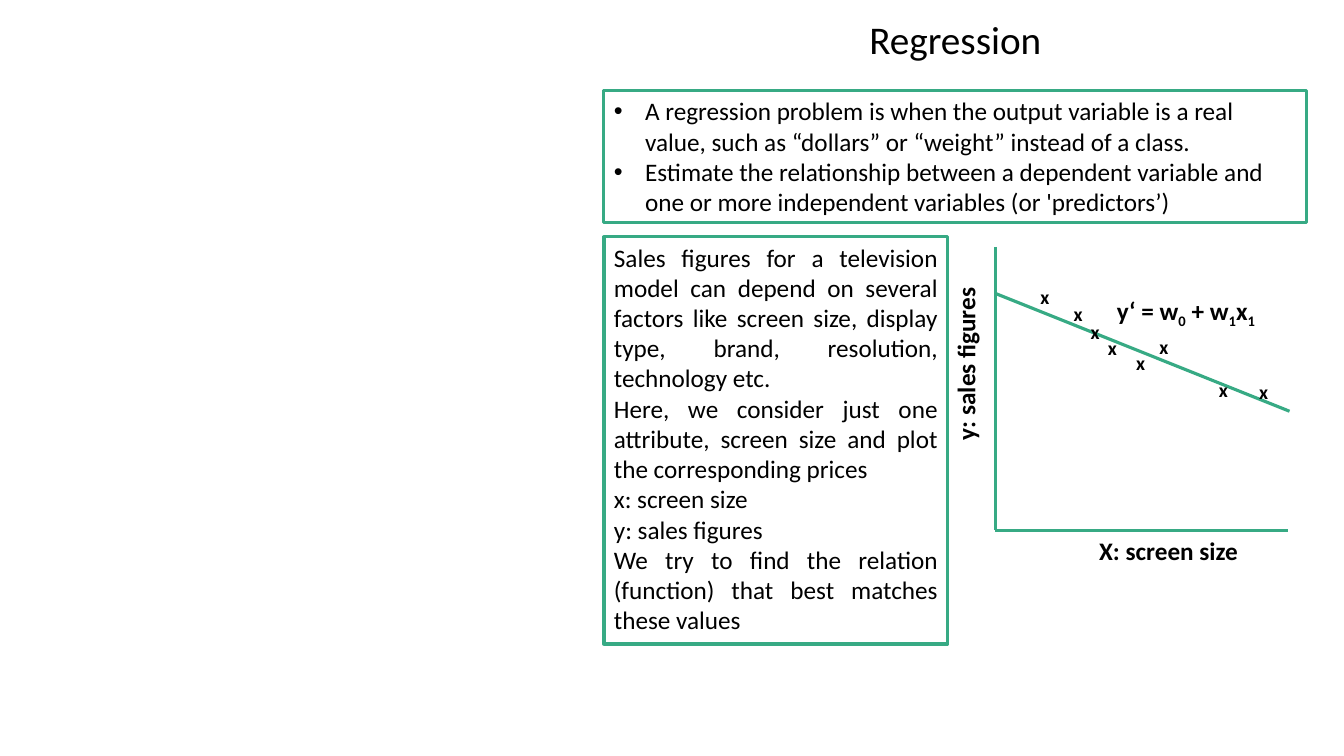
from dataclasses import dataclass

from lxml.etree import SubElement
from pptx import Presentation
from pptx.dml.color import RGBColor
from pptx.enum.shapes import MSO_CONNECTOR, MSO_SHAPE
from pptx.enum.text import MSO_ANCHOR, MSO_AUTO_SIZE, PP_ALIGN
from pptx.oxml.ns import qn
from pptx.util import Inches, Pt


@dataclass(frozen=True)
class Theme:
    font: str = "Calibri"
    ink: RGBColor = RGBColor(0x00, 0x00, 0x00)
    green: RGBColor = RGBColor(0x37, 0xAA, 0x84)
    line: Pt = Pt(2.25)
    title: Pt = Pt(28)
    body: Pt = Pt(18)
    mark: Pt = Pt(14)


theme = Theme()


def add_run(p, text, size, bold=False):
    r = p.add_run()
    r.text = text
    r.font.name = theme.font
    r.font.size = size
    r.font.bold = bold
    r.font.color.rgb = theme.ink
    return r


def add_text(shapes, box, text, size, bold=False, align=PP_ALIGN.LEFT):
    """Add a one-paragraph text box; box is left, top, width, height in inches."""
    sp = shapes.add_textbox(*map(Inches, box))
    tf = sp.text_frame
    tf.word_wrap = True
    p = tf.paragraphs[0]
    p.alignment = align
    add_run(p, text, size, bold)
    return sp


prs = Presentation()
prs.slide_width, prs.slide_height = Inches(13.33), Inches(7.5)
s = prs.slides.add_slide(prs.slide_layouts[6])

# Title
title = add_text(s.shapes, (5.99, 0.16, 6.97, 0.61), "Regression", theme.title,
                 align=PP_ALIGN.CENTER)
title.text_frame.paragraphs[0].line_spacing = 0.9

# Framed text: definition above, worked example below
LEFT, JUSTIFY = PP_ALIGN.LEFT, PP_ALIGN.JUSTIFY
definition = [
    (LEFT, "A regression problem is when the output variable is a real value, "
           "such as “dollars” or “weight” instead of a class."),
    (LEFT, "Estimate the relationship between a dependent variable and one or more "
           "independent variables (or 'predictors’)"),
]
example = [
    (JUSTIFY, "Sales figures for a television model can depend on several factors like "
              "screen size, display type, brand, resolution, technology etc."),
    (JUSTIFY, "Here, we consider just one attribute, screen size and plot the "
              "corresponding prices"),
    (LEFT, "x: screen size"),
    (LEFT, "y: sales figures"),
    (JUSTIFY, "We try to find the relation (function) that best matches these values"),
]
frames = [
    ((5.99, 0.9, 6.97, 1.31), definition, True),
    ((5.99, 2.35, 3.41, 4.04), example, False),
]
for box, paragraphs, bulleted in frames:
    sp = s.shapes.add_shape(MSO_SHAPE.RECTANGLE, *map(Inches, box))
    sp.shadow.inherit = False
    sp.fill.background()
    sp.line.color.rgb = theme.green
    sp.line.width = theme.line
    tf = sp.text_frame
    tf.word_wrap = True
    tf.auto_size = MSO_AUTO_SIZE.SHAPE_TO_FIT_TEXT
    tf.vertical_anchor = MSO_ANCHOR.TOP
    for i, (align, text) in enumerate(paragraphs):
        p = tf.add_paragraph() if i else tf.paragraphs[0]
        p.alignment = align
        add_run(p, text, theme.body)
        if bulleted:
            pPr = p._p.get_or_add_pPr()
            pPr.set("marL", str(Inches(0.31)))
            pPr.set("indent", str(-Inches(0.31)))
            SubElement(pPr, qn("a:buFont"), typeface="Arial")
            SubElement(pPr, qn("a:buChar"), char="•")

# Plot: two axes and the regression line
plot = s.shapes.add_group_shape().shapes
origin_x, origin_y = 9.87, 5.26
plot_lines = [
    (origin_x, 2.45, origin_x, origin_y),
    (origin_x, origin_y, 12.77, origin_y),
    (origin_x, 2.91, 12.79, 4.08),
]
for ends in plot_lines:
    c = plot.add_connector(MSO_CONNECTOR.STRAIGHT, *map(Inches, ends))
    c.line.color.rgb = theme.green
    c.line.width = theme.line
    SubElement(c._element.spPr, qn("a:effectLst"))

# Axis labels
y_label = add_text(plot, (8.18, 3.41, 2.79, 0.4), "y: sales figures", theme.body, True,
                   PP_ALIGN.CENTER)
y_label.rotation = 270
add_text(plot, (10.17, origin_y, 2.84, 0.4), "X: screen size", theme.body, True,
         PP_ALIGN.CENTER)

# Equation with subscripts
equation = add_text(plot, (10.98, 2.88, 2.3, 0.4), "y‘ = w", theme.body, True)
p = equation.text_frame.paragraphs[0]
for text, subscript in [("0", True), (" + w", False), ("1", True), ("x", False), ("1", True)]:
    r = add_run(p, text, theme.body, True)
    if subscript:
        r._r.get_or_add_rPr().set("baseline", "-25000")

# Data points
points = [(10.22, 2.78), (10.55, 2.95), (10.72, 3.12), (10.89, 3.28),
          (11.4, 3.27), (11.17, 3.43), (11.99, 3.7), (12.39, 3.72)]
for x, y in points:
    add_text(plot, (x, y, 0.23, 0.34), "x", theme.mark, True)

prs.save("out.pptx")
